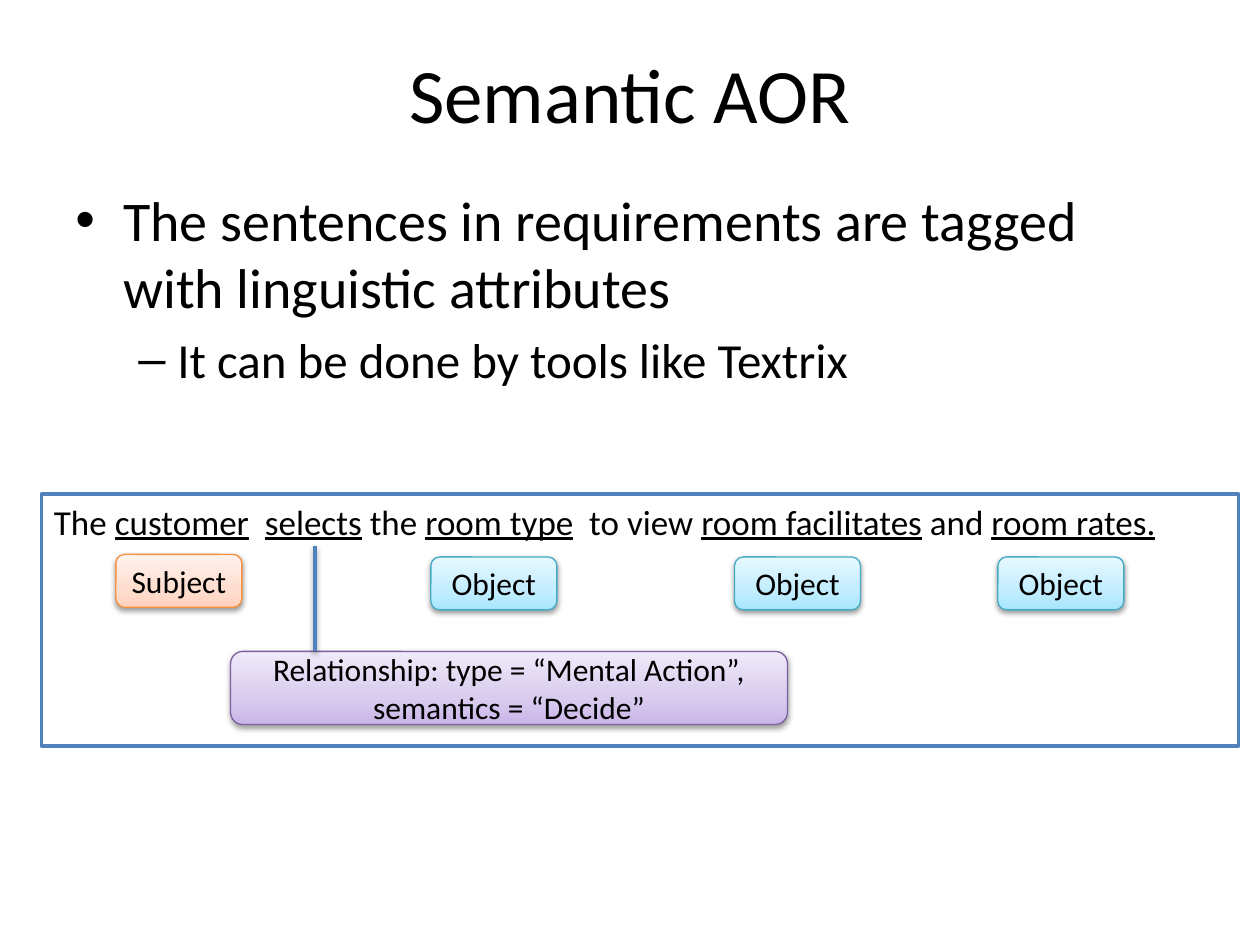
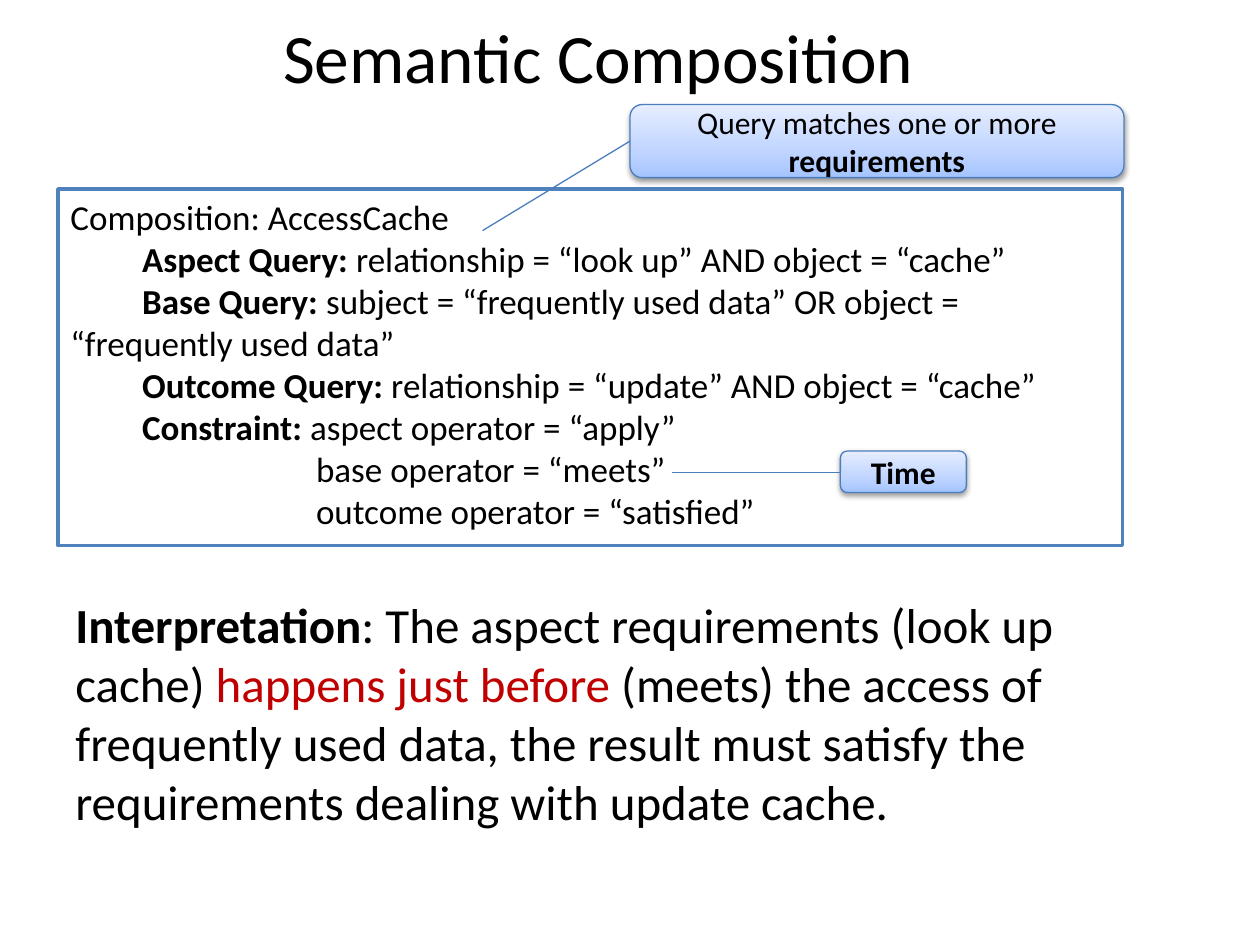
from copy import deepcopy
from lxml import etree
from pptx import Presentation
from pptx.dml.color import RGBColor
from pptx.enum.shapes import MSO_CONNECTOR, MSO_SHAPE
from pptx.enum.text import MSO_ANCHOR, PP_ALIGN
from pptx.oxml.ns import qn
from pptx.util import Inches, Pt

RECT, ROUND = MSO_SHAPE.RECTANGLE, MSO_SHAPE.ROUNDED_RECTANGLE
STRAIGHT = MSO_CONNECTOR.STRAIGHT
TOP, MIDDLE = MSO_ANCHOR.TOP, MSO_ANCHOR.MIDDLE
LEFT, CENTER = PP_ALIGN.LEFT, PP_ALIGN.CENTER

THEME = {
    "font": "Calibri",
    "text": "000000",
    "alert": "C00000",
    "paper": "FFFFFF",
    "frame": "4F81BD",
    "size": {"title": 44, "small": 39.6, "body": 32, "sub": 28, "panel": 20, "tag": 18},
    "thick": 2,
    "thin": 0.75,
    # edge colour, then the gradient from bottom to top
    "tags": {
        "orange": ("F69240", ("FFD2BD", "FFDED0", "FFF2ED")),
        "aqua": ("46AAC5", ("A7E6FF", "C1EDFF", "E7F8FF")),
        "purple": ("7D60A0", ("C9B5E8", "D8CBEE", "F0EAF9")),
        "blue": ("4B7EBC", ("A4C4FF", "BFD4FF", "E6EEFF")),
    },
    "stops": (0, 0.35, 1),
    "shadow": {"blurRad": "40000", "dist": "20000", "dir": "5400000", "rotWithShape": "0"},
    "alpha": "38000",
}
SIZE = THEME["size"]
BOLD, UNDER = {"bold": True}, {"underline": True}
RED = {"color": THEME["alert"]}

# A paragraph is (runs, format); a run is plain text or (text, format).
POINTS = [
    (["The sentences in requirements are tagged with linguistic attributes"],
     {"size": SIZE["body"], "bullet": "•", "margin": 0.38, "indent": -0.38}),
    (["It can be done by tools like Textrix"],
     {"size": SIZE["sub"], "bullet": "–", "margin": 0.81, "indent": -0.31,
      "before": 0.2 * SIZE["sub"]}),
]
SENTENCE = [
    (["The ", ("customer", UNDER), "  ", ("selects", UNDER), " the ", ("room type", UNDER),
      "  to view ", ("room facilitates", UNDER), " and ", ("room rates.", UNDER)], {}),
]
TAGS = [
    ("Subject", "orange", (0.92, 4.4, 1, 0.42)),
    *[("Object", "aqua", (left, 4.42, 1, 0.42)) for left in (3.42, 5.83, 7.92)],
    ("Relationship: type = “Mental Action”, semantics = “Decide”", "purple",
     (1.83, 5.17, 4.42, 0.58)),
]

STEP, DEEP = {"indent": 0.57}, {"indent": 1.95}
QUERY = [
    (["Composition: AccessCache"], {}),
    ([("Aspect Query: ", BOLD), "relationship = “look up” AND object = “cache”"], STEP),
    ([("Base Query: ", BOLD),
      "subject = “frequently used data” OR object = “frequently used data”"], STEP),
    ([("Outcome Query: ", BOLD), "relationship = “update” AND object = “cache”"], STEP),
    ([("Constraint: ", BOLD), "aspect operator = “apply”"], STEP),
    (["base operator = “meets”"], DEEP),
    (["outcome operator = “satisfied”"], DEEP),
]
MEANING = [
    ([("Interpretation", BOLD), ": The aspect requirements (look up cache) ",
      ("happens just before ", RED),
      "(meets) the access of frequently used data, the result must satisfy the "
      "requirements dealing with update cache."], {}),
]
NOTES = [
    ([("Time", BOLD)], (6.67, 3.58, 1, 0.33)),
    (["Query matches one or more ", ("requirements", BOLD)], (5, 0.83, 3.92, 0.58)),
]
LINKS = [((5.33, 3.75), (6.67, 3.75)), ((5, 1.12), (3.83, 1.83))]


def rgb(code):
    return RGBColor.from_string(code)


def place(at):
    return [Inches(n) for n in at]


def write(shape, paras, size, align=LEFT, anchor=TOP):
    frame = shape.text_frame
    frame.word_wrap, frame.vertical_anchor = True, anchor
    for num, (runs, form) in enumerate(paras):
        para = frame.add_paragraph() if num else frame.paragraphs[0]
        para.alignment = align
        props = para._p.get_or_add_pPr()
        props.set("marL", str(Inches(form.get("margin", 0))))
        props.set("indent", str(Inches(form.get("indent", 0))))
        if "bullet" in form:
            etree.SubElement(props, qn("a:buFont")).set("typeface", "Arial")
            etree.SubElement(props, qn("a:buChar")).set("char", form["bullet"])
        if "before" in form:
            para.space_before = Pt(form["before"])
        for item in runs:
            text, look = (item, {}) if isinstance(item, str) else item
            run = para.add_run()
            run.text = text
            style = {"name": THEME["font"], "size": Pt(form.get("size", size)),
                     "color": THEME["text"], **look}
            run.font.color.rgb = rgb(style.pop("color"))
            for key, value in style.items():
                setattr(run.font, key, value)


def shade(shape):
    """Cast the soft shadow that tags and the thick stem share."""
    props = shape._element.spPr
    cast = etree.SubElement(props.find(qn("a:effectLst")), qn("a:outerShdw"), THEME["shadow"])
    tint = etree.SubElement(cast, qn("a:srgbClr"), val="000000")
    etree.SubElement(tint, qn("a:alpha"), val=THEME["alpha"])


def block(slide, at, paras, size, **form):
    write(slide.shapes.add_textbox(*place(at)), paras, size, **form)


def head(slide, text, at, size):
    block(slide, at, [([text], {})], size, align=CENTER, anchor=MIDDLE)


def solid(slide, kind, at, edge, width):
    shape = slide.shapes.add_shape(kind, *place(at))
    shape.shadow.inherit = False
    shape.line.color.rgb, shape.line.width = rgb(edge), Pt(width)
    return shape


def panel(slide, at, paras):
    shape = solid(slide, RECT, at, THEME["frame"], THEME["thick"])
    shape.fill.solid()
    shape.fill.fore_color.rgb = rgb(THEME["paper"])
    write(shape, paras, SIZE["panel"])


def tag(slide, runs, hue, at):
    edge, tints = THEME["tags"][hue]
    shape = solid(slide, ROUND, at, edge, THEME["thin"])
    fill = shape.fill
    fill.gradient()
    fill.gradient_angle = 90
    stops = shape._element.spPr.find(".//" + qn("a:gsLst"))
    stops.insert(1, deepcopy(stops[0]))
    for stop, tint, spot in zip(fill.gradient_stops, tints, THEME["stops"]):
        stop.color.rgb, stop.position = rgb(tint), spot
    shade(shape)
    write(shape, [(runs, {})], SIZE["tag"], CENTER, MIDDLE)


def link(slide, start, end, color, width):
    line = slide.shapes.add_connector(STRAIGHT, *place(start + end))
    line.line.color.rgb, line.line.width = rgb(color), Pt(width)
    etree.SubElement(line._element.spPr, qn("a:effectLst"))
    return line


def tagging(slide):
    head(slide, "Semantic AOR", (0.5, 0.3, 9, 0.87), SIZE["title"])
    block(slide, (0.5, 1.42, 9, 5.28), POINTS, SIZE["body"])
    panel(slide, (0.33, 3.92, 9.5, 2), SENTENCE)
    for text, hue, at in TAGS:
        tag(slide, [text], hue, at)
    shade(link(slide, (2.5, 4.33), (2.5, 5.17), THEME["frame"], THEME["thick"]))


def compose(slide):
    head(slide, "Semantic Composition", (0.25, 0.05, 9, 0.78), SIZE["small"])
    block(slide, (0.5, 4.67, 9, 2.03), MEANING, SIZE["sub"])
    panel(slide, (0.46, 1.5, 8.45, 2.83), QUERY)
    for (runs, at), (start, end) in zip(NOTES, LINKS):
        tag(slide, runs, "blue", at)
        link(slide, start, end, THEME["tags"]["blue"][0], THEME["thin"])


def main():
    deck = Presentation()
    deck.slide_width, deck.slide_height = place((10, 7.5))
    for draw in (tagging, compose):
        draw(deck.slides.add_slide(deck.slide_layouts[6]))
    deck.save("out.pptx")


if __name__ == "__main__":
    main()
